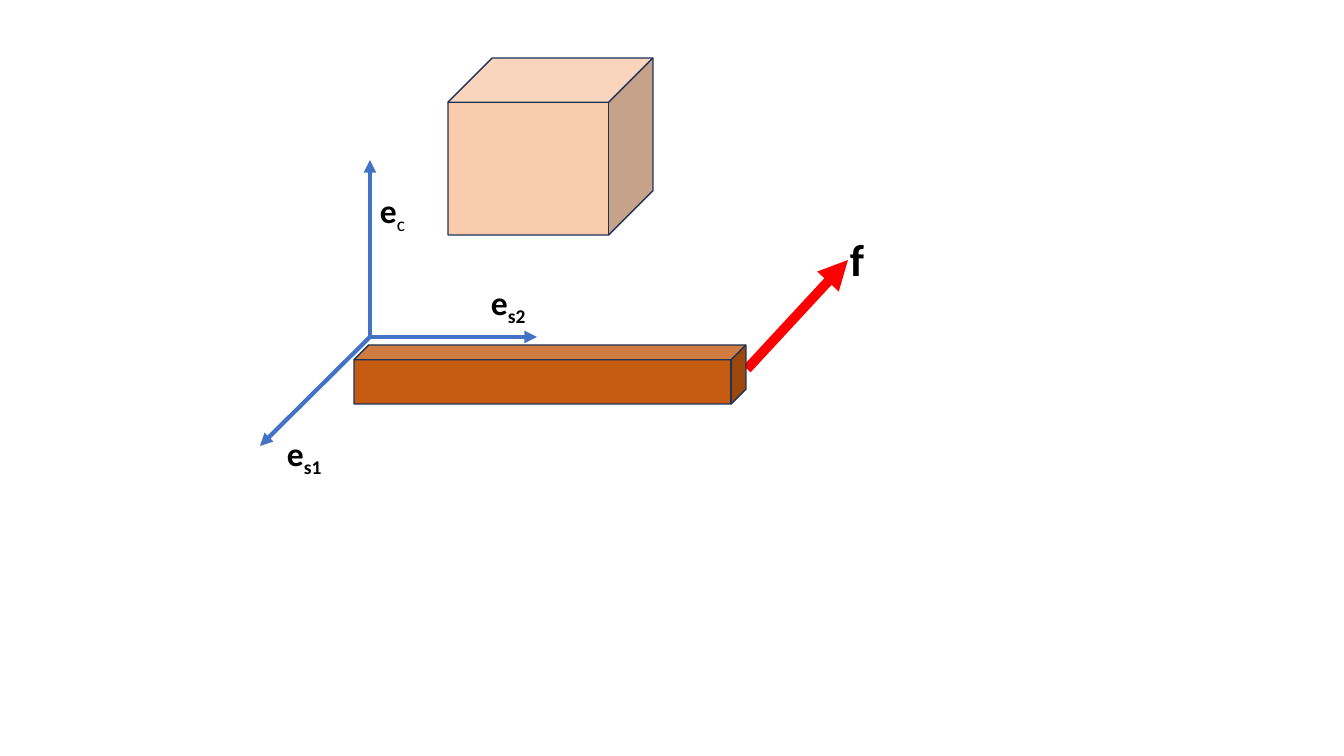
from lxml import etree
from pptx import Presentation
from pptx.dml.color import RGBColor
from pptx.enum.shapes import MSO_CONNECTOR as Connector, MSO_SHAPE as Shape
from pptx.enum.text import MSO_AUTO_SIZE as AutoSize
from pptx.oxml.ns import qn
from pptx.util import Pt

EMU_PER_PX = 914400 / 100.8

AXIS_BLUE = RGBColor(0x44, 0x72, 0xC4)
FORCE_RED = RGBColor(0xFF, 0x00, 0x00)
BEAM_BROWN = RGBColor(0xC5, 0x5A, 0x11)
BLOCK_PEACH = RGBColor(0xF8, 0xCB, 0xAD)
EDGE_NAVY = RGBColor(0x1E, 0x32, 0x56)
BLACK = RGBColor(0x00, 0x00, 0x00)


def px(*lengths):
    return [round(length * EMU_PER_PX) for length in lengths]


class Diagram:
    font_name = "Calibri"

    def __init__(self, slide):
        self.shapes = slide.shapes

    def group(self):
        return self.shapes.add_group_shape().shapes

    def arrow(self, parent, start, end, color, width):
        line = parent.add_connector(Connector.STRAIGHT, *px(*start, *end))
        line.line.color.rgb = color
        line.line.width = Pt(width)
        properties = line.line._get_or_add_ln()
        etree.SubElement(properties, qn("a:tailEnd"), type="triangle")
        etree.SubElement(properties.getparent(), qn("a:effectLst"))

    def cuboid(self, box, color):
        solid = self.shapes.add_shape(Shape.CUBE, *px(*box))
        solid.shadow.inherit = False
        solid.fill.solid()
        solid.fill.fore_color.rgb = color
        solid.line.color.rgb = EDGE_NAVY
        solid.line.width = Pt(1)

    def label(self, parent, box, symbol, subscript="", size=24,
              subscript_bold=True, wrap=True):
        frame = parent.add_textbox(*px(*box)).text_frame
        frame.word_wrap = wrap
        frame.auto_size = AutoSize.SHAPE_TO_FIT_TEXT
        paragraph = frame.paragraphs[0]
        self.add_run(paragraph, symbol, size, True)
        if subscript:
            run = self.add_run(paragraph, subscript, size, subscript_bold)
            run._r.get_or_add_rPr().set("baseline", "-25000")

    def add_run(self, paragraph, text, size, bold):
        run = paragraph.add_run()
        run.text = text
        run.font.name = self.font_name
        run.font.size = Pt(size)
        run.font.bold = bold
        run.font.color.rgb = BLACK
        return run


def main():
    prs = Presentation()
    prs.slide_width, prs.slide_height = px(1344, 756)
    diagram = Diagram(prs.slides.add_slide(prs.slide_layouts[6]))

    axes = diagram.group()
    origin = (370, 337)
    for tip in [(370, 160), (260, 446), (537, 337)]:
        diagram.arrow(axes, origin, tip, AXIS_BLUE, 3)
    diagram.label(axes, (481, 277, 74, 50), "e", "s2")
    diagram.label(axes, (370, 185, 50, 50), "e", "c", subscript_bold=False)
    diagram.label(axes, (277, 428, 68, 50), "e", "s1")

    diagram.arrow(diagram.shapes, (747, 369), (848, 260), FORCE_RED, 7)
    diagram.cuboid((354, 345, 392, 59), BEAM_BROWN)
    diagram.cuboid((448, 58, 205, 177), BLOCK_PEACH)
    diagram.label(diagram.shapes, (840, 227, 34, 65), "f", size=32, wrap=False)

    prs.save("out.pptx")


if __name__ == "__main__":
    main()
